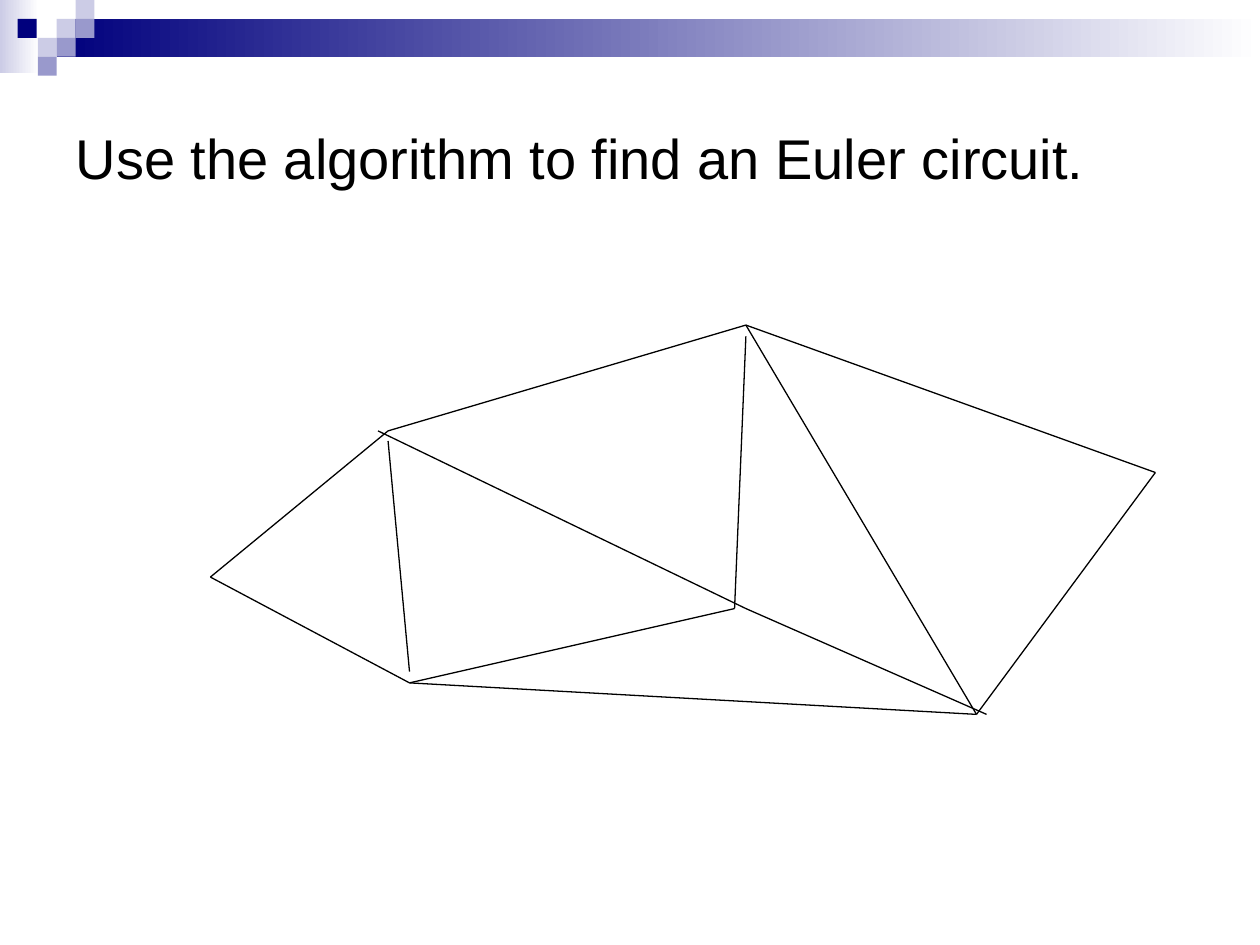
from lxml import etree
from pptx import Presentation
from pptx.dml.color import RGBColor
from pptx.enum import shapes, text
from pptx.oxml.ns import qn
from pptx.util import Inches, Pt

BLACK = RGBColor(0x00, 0x00, 0x00)
WHITE = RGBColor(0xFF, 0xFF, 0xFF)
NAVY = RGBColor(0x00, 0x00, 0x7D)
LAVENDER = RGBColor(0xCC, 0xCC, 0xE6)
PERIWINKLE = RGBColor(0x99, 0x99, 0xCC)


def add_block(left, top, width, height, color, fade=False):
    """Add a borderless rectangle, optionally fading to white on the right."""
    block = page.shapes.add_shape(
        shapes.MSO_SHAPE.RECTANGLE,
        Inches(left), Inches(top), Inches(width), Inches(height))
    block.shadow.inherit = False
    block.line.fill.background()
    if fade:
        block.fill.gradient()
        block.fill.gradient_angle = 0
        for stop, stop_color in zip(block.fill.gradient_stops, (color, WHITE)):
            stop.color.rgb = stop_color
    else:
        block.fill.solid()
        block.fill.fore_color.rgb = color


deck = Presentation()
deck.slide_width, deck.slide_height = Inches(10), Inches(7.5)
page = deck.slides.add_slide(deck.slide_layouts.get_by_name("Title Only"))

# Header band and its mosaic of squares
add_block(0, 0, 0.31, 0.58, LAVENDER, fade=True)
add_block(0.45, 0.15, 9.55, 0.3, NAVY, fade=True)
SQUARE = 0.15
squares = [
    (0.45, 0.15, LAVENDER), (0.6, 0, LAVENDER), (0.6, 0.15, PERIWINKLE),
    (0.3, 0.3, LAVENDER), (0.14, 0.15, NAVY), (0.45, 0.3, PERIWINKLE),
    (0.3, 0.45, PERIWINKLE),
]
for left, top, color in squares:
    add_block(left, top, SQUARE, SQUARE, color)

# Title
title = page.shapes.title
title.left, title.top = Inches(0.5), Inches(0.5)
title.width, title.height = Inches(9), Inches(1.5)
title.text_frame.text = "Use the algorithm to find an Euler circuit."
title.text_frame.vertical_anchor = text.MSO_ANCHOR.MIDDLE
para = title.text_frame.paragraphs[0]
para.alignment = text.PP_ALIGN.LEFT
para.font.name = "Arial"
para.font.size = Pt(32)
para.font.color.rgb = BLACK

# Graph: vertices, then edges (some stop slightly beside their vertex)
west = (1.67, 4.58)
upper_left = (3.08, 3.42)
lower_left = (3.25, 5.42)
top_vertex = (5.92, 2.58)
center = (5.83, 4.83)
east = (9.17, 3.75)
lower_right = (7.75, 5.67)
edges = [
    (west, upper_left),
    (west, lower_left),
    ((3, 3.42), (5.92, 4.83)),
    (center, (5.92, 2.67)),
    (top_vertex, lower_right),
    (lower_left, center),
    ((5.92, 4.83), (7.83, 5.67)),
    ((3.08, 3.5), (3.25, 5.33)),
    (upper_left, top_vertex),
    (lower_left, lower_right),
    (top_vertex, east),
    (east, lower_right),
]
for start, end in edges:
    edge = page.shapes.add_connector(
        shapes.MSO_CONNECTOR.STRAIGHT, *map(Inches, start + end))
    edge.line.color.rgb = BLACK
    edge.line.width = Pt(0.75)
    etree.SubElement(edge._element.spPr, qn("a:effectLst"))

deck.save("out.pptx")
